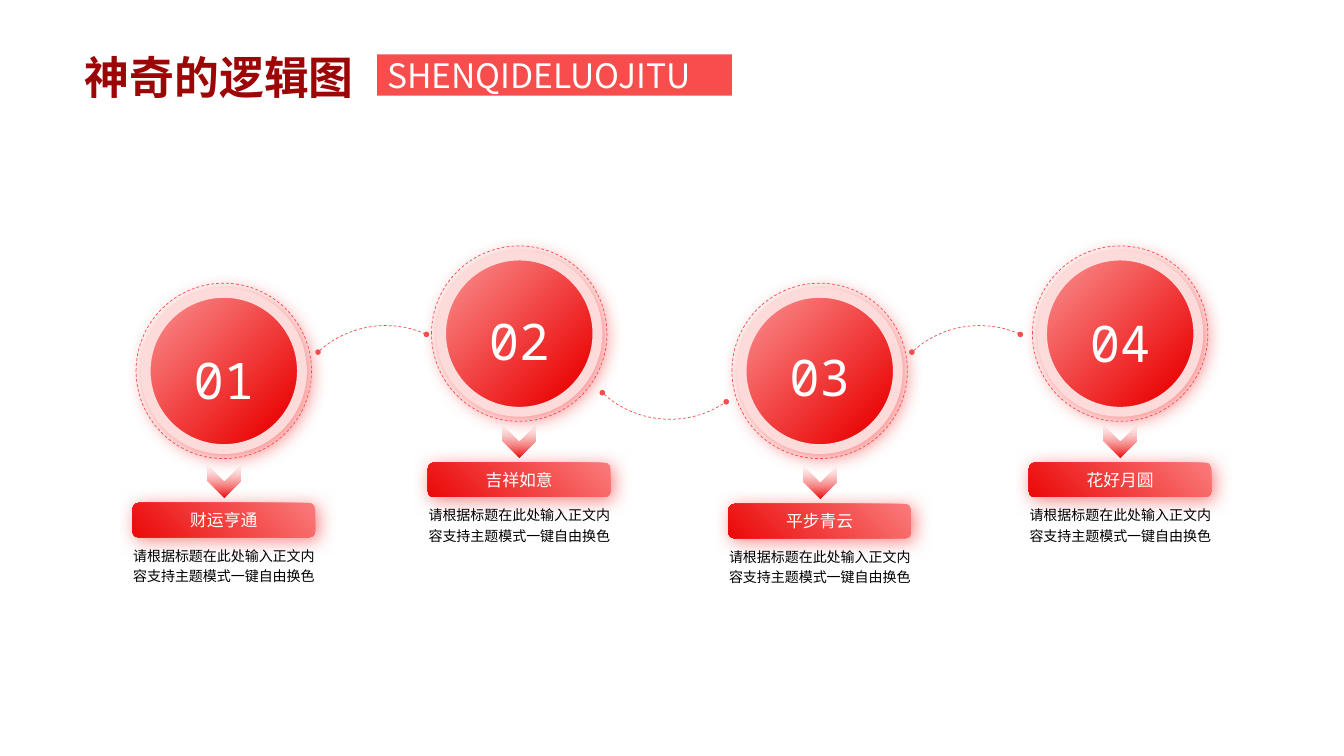
import lxml.etree
import pptx
import pptx.dml.color
import pptx.enum.dml
import pptx.enum.shapes
import pptx.enum.text
import pptx.oxml
import pptx.oxml.ns
import pptx.util

Inches = pptx.util.Inches
Pt = pptx.util.Pt
RGBColor = pptx.dml.color.RGBColor
Shape = pptx.enum.shapes.MSO_SHAPE
Align = pptx.enum.text.PP_ALIGN
Anchor = pptx.enum.text.MSO_ANCHOR
qn = pptx.oxml.ns.qn

WHITE = RGBColor(0xFF, 0xFF, 0xFF)
BLACK = RGBColor(0x00, 0x00, 0x00)
CORAL = RGBColor(0xF8, 0x4D, 0x4D)
BLUSH = RGBColor(0xFE, 0xDB, 0xDB)
ROSE = RGBColor(0xFB, 0x94, 0x94)
SALMON = RGBColor(0xFA, 0x7B, 0x7B)
RED = RGBColor(0xEB, 0x09, 0x09)
DARK_RED = RGBColor(0x9C, 0x06, 0x06)

SANS_SC = "Noto Sans CJK SC"
SANS_JP = "Noto Sans CJK JP"
MONO = "Noto Sans Mono"

RING_SIZE = 1.74
DISC_SIZE = 1.55
LABEL_WIDTH = 1.81
CHEVRON_SIZE = 0.33
BODY = "请根据标题在此处输入正文内容支持主题模式一键自由换色"

# Ring left, ring top, label top, number top, number, label
STEPS = [
    (1.35, 2.81, 4.99, 3.41, "01", "财运亨通"),
    (4.28, 2.44, 4.59, 3.03, "02", "吉祥如意"),
    (7.26, 2.81, 5.00, 3.38, "03", "平步青云"),
    (10.24, 2.44, 4.59, 3.05, "04", "花好月圆"),
]
# Left, top, rotation, end adjustment, flipped
ARCS = [
    (2.84, 3.23, 306.7, 208.56, False),
    (8.73, 3.23, 306.7, 208.56, False),
    (5.66, 2.19, 53.3, 214.69, True),
]


def gradient_element(stops, angle):
    """Build a linear gradient from (position, colour, opacity) stops in percent."""
    stop_xml = "".join(
        f'<a:gs pos="{position * 1000}"><a:srgbClr val="{color}">'
        f'<a:alpha val="{opacity * 1000}"/></a:srgbClr></a:gs>'
        for position, color, opacity in stops
    )
    return pptx.oxml.parse_xml(
        f'<a:gradFill {pptx.oxml.ns.nsdecls("a")} rotWithShape="1">'
        f'<a:gsLst>{stop_xml}</a:gsLst>'
        f'<a:lin ang="{angle * 60000}" scaled="0"/></a:gradFill>'
    )


def add_plain_shape(slide, kind, left, top, width, height):
    shape = slide.shapes.add_shape(
        kind, Inches(left), Inches(top), Inches(width), Inches(height))
    shape.shadow.inherit = False
    shape.fill.background()
    shape.line.fill.background()
    return shape


def fill_gradient(shape, stops, angle):
    properties = shape.element.spPr
    properties.replace(properties.find(qn("a:noFill")), gradient_element(stops, angle))


def add_glow_shadow(shape):
    effects = shape.element.spPr.find(qn("a:effectLst"))
    effects.append(pptx.oxml.parse_xml(
        f'<a:outerShdw {pptx.oxml.ns.nsdecls("a")} blurRad="{Pt(13)}" '
        f'dist="{Pt(3)}" dir="2700000" algn="tl" rotWithShape="0">'
        f'<a:srgbClr val="{CORAL}"><a:alpha val="70000"/></a:srgbClr></a:outerShdw>'))


def dash_outline(shape):
    shape.line.color.rgb = CORAL
    shape.line.width = Pt(0.5)
    shape.line.dash_style = pptx.enum.dml.MSO_LINE.DASH


def write_text(shape, text, size, font_name, color, align, anchor=Anchor.MIDDLE, wrap=True):
    frame = shape.text_frame
    frame.text = text
    frame.word_wrap = wrap
    frame.auto_size = pptx.enum.text.MSO_AUTO_SIZE.NONE
    frame.vertical_anchor = anchor
    paragraph = frame.paragraphs[0]
    paragraph.alignment = align
    run = paragraph.runs[0]
    run.font.size = Pt(size)
    run.font.name = font_name
    run.font.color.rgb = color
    east_asian = lxml.etree.SubElement(run.font._element, qn("a:ea"))
    east_asian.set("typeface", font_name)
    return run


def add_text(slide, left, top, width, height, *text_format, **options):
    box = slide.shapes.add_textbox(
        Inches(left), Inches(top), Inches(width), Inches(height))
    write_text(box, *text_format, **options)
    return box


def add_heading(slide, left, top):
    # Title with gradient lettering
    title = slide.shapes.title
    title.left, title.top = Inches(left), Inches(top)
    title.width, title.height = Inches(3.47), Inches(0.64)
    run = write_text(title, "神奇的逻辑图", 32, SANS_SC, DARK_RED, Align.LEFT, Anchor.TOP)
    run.font.bold = True
    properties = run.font._element
    properties.replace(properties.find(qn("a:solidFill")),
                       gradient_element([(0, DARK_RED, 100), (100, CORAL, 100)], 225))

    # Subtitle band
    band = add_plain_shape(slide, Shape.RECTANGLE, left + 3, top + 0.1, 3.52, 0.41)
    band.fill.solid()
    band.fill.fore_color.rgb = CORAL
    add_text(slide, left + 3, top + 0.05, 3.52, 0.5,
             "SHENQIDELUOJITU", 24, SANS_JP, WHITE, Align.JUSTIFY)


def add_step(slide, left, ring_top, label_top, number_top, number, label_text):
    center = left + RING_SIZE / 2

    # Dashed ring and disc
    ring = add_plain_shape(slide, Shape.OVAL, left, ring_top, RING_SIZE, RING_SIZE)
    dash_outline(ring)
    inset = (RING_SIZE - DISC_SIZE) / 2
    disc = add_plain_shape(slide, Shape.OVAL, left + inset, ring_top + inset,
                           DISC_SIZE, DISC_SIZE)
    fill_gradient(disc, [(0, ROSE, 100), (84, RED, 100)], 45)
    disc.line.color.rgb = BLUSH
    disc.line.width = Pt(7)
    add_glow_shadow(disc)
    add_text(slide, center - 0.47, number_top, 0.94, 0.71,
             number, 36, MONO, WHITE, Align.CENTER, Anchor.TOP, wrap=False)

    # Label and body text
    label_left = center - LABEL_WIDTH / 2
    label = add_plain_shape(slide, Shape.ROUNDED_RECTANGLE,
                            label_left, label_top, LABEL_WIDTH, 0.34)
    label.element.spPr.xfrm.set("flipH", "1")
    fill_gradient(label, [(0, SALMON, 100), (100, RED, 100)], 45)
    add_glow_shadow(label)
    write_text(label, label_text, 12, SANS_SC, WHITE, Align.CENTER)
    body = add_text(slide, label_left, label_top + 0.41, LABEL_WIDTH, 0.39,
                    BODY, 10, SANS_JP, BLACK, Align.CENTER)
    frame = body.text_frame
    frame.margin_left = frame.margin_right = frame.margin_top = frame.margin_bottom = 0
    frame.paragraphs[0].line_spacing = 1.2

    # Chevron pointing down
    chevron = add_plain_shape(slide, Shape.CHEVRON, center - CHEVRON_SIZE / 2,
                              label_top - 0.38, CHEVRON_SIZE, CHEVRON_SIZE)
    chevron.rotation = 90
    fill_gradient(chevron, [(0, SALMON, 0), (100, RED, 100)], 0)


def add_arc(slide, left, top, rotation, end_adjustment, flipped):
    # Dashed link between neighbouring rings, with a dot at each end
    arc = add_plain_shape(slide, Shape.ARC, left, top, 1.97, 1.97)
    arc.rotation = rotation
    arc.adjustments[0] = 168.25
    arc.adjustments[1] = end_adjustment
    if flipped:
        arc.element.spPr.xfrm.set("flipV", "1")
    dash_outline(arc)
    line = arc.element.spPr.find(qn("a:ln"))
    for end in ("a:headEnd", "a:tailEnd"):
        lxml.etree.SubElement(line, qn(end), type="oval", w="sm", len="sm")


def main():
    presentation = pptx.Presentation()
    presentation.slide_width = Inches(13.33)
    presentation.slide_height = Inches(7.5)
    slide = presentation.slides.add_slide(presentation.slide_layouts[5])
    add_heading(slide, 0.74, 0.44)
    for step in STEPS:
        add_step(slide, *step)
    for arc in ARCS:
        add_arc(slide, *arc)
    presentation.save("out.pptx")


if __name__ == "__main__":
    main()
